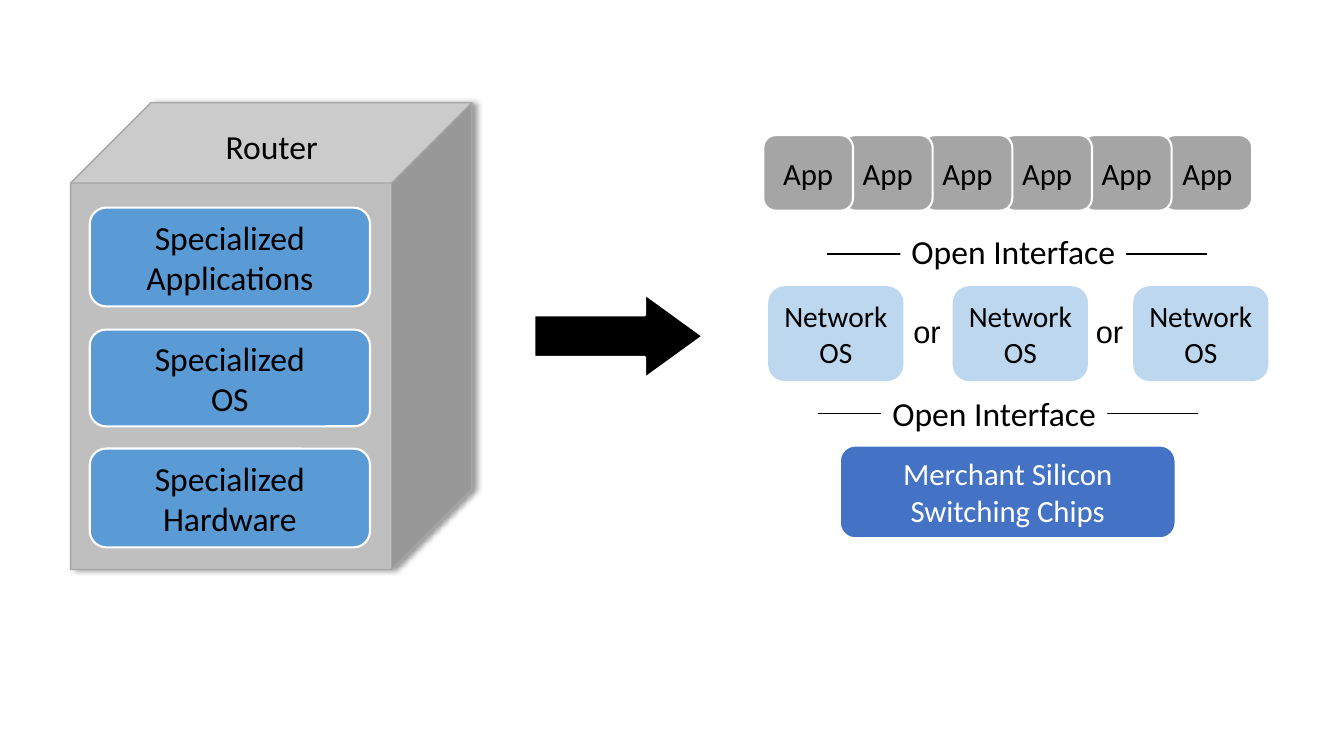
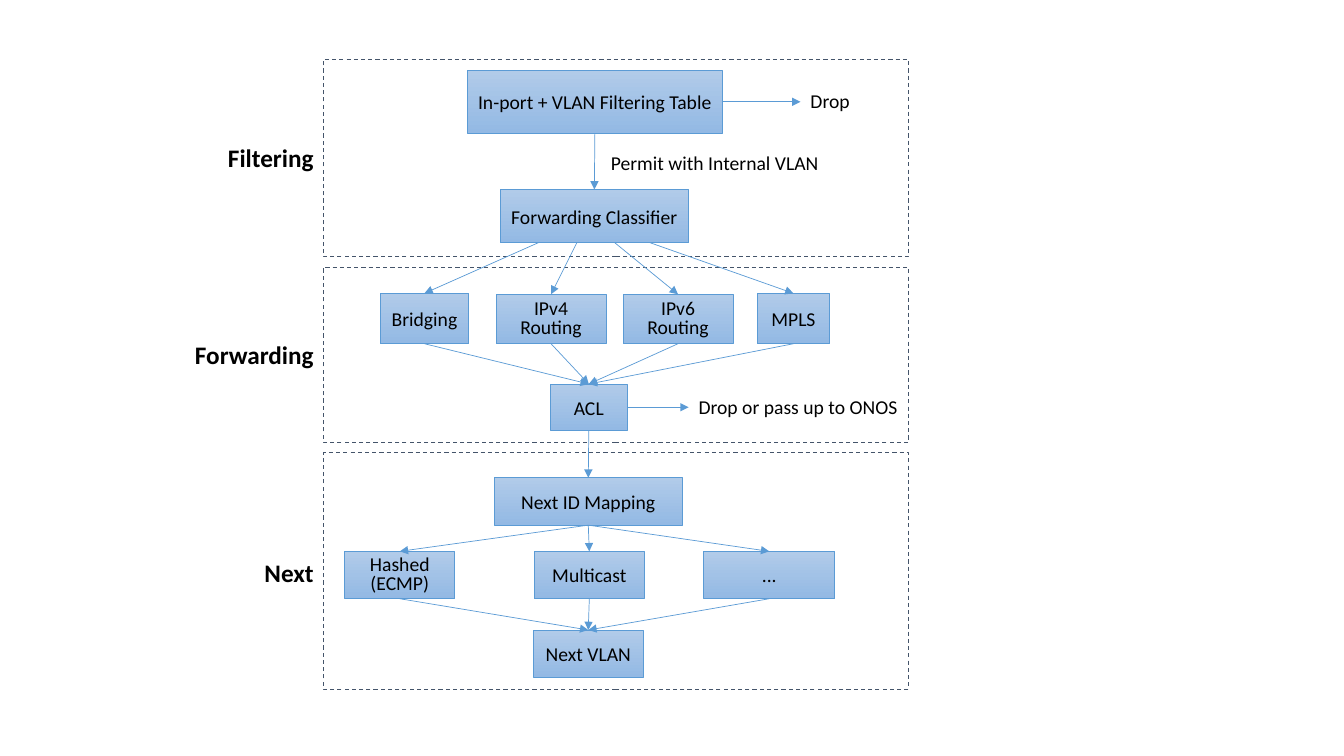
"""Build two network diagrams: router disaggregation and a forwarding pipeline."""
from typing import NamedTuple

from lxml import etree
from pptx import Presentation
from pptx.dml.color import RGBColor
from pptx.enum.dml import MSO_LINE
from pptx.enum.shapes import MSO_CONNECTOR, MSO_SHAPE
from pptx.enum.text import MSO_ANCHOR, MSO_AUTO_SIZE, PP_ALIGN
from pptx.oxml.ns import qn
from pptx.util import Emu, Pt

PX = 9144
STRAIGHT = MSO_CONNECTOR.STRAIGHT
DASH = MSO_LINE.DASH
RECT, ROUND = MSO_SHAPE.RECTANGLE, MSO_SHAPE.ROUNDED_RECTANGLE
CUBE, BLOCK_ARROW = MSO_SHAPE.CUBE, MSO_SHAPE.RIGHT_ARROW
LEFT, CENTER, RIGHT = PP_ALIGN.LEFT, PP_ALIGN.CENTER, PP_ALIGN.RIGHT
TOP, MIDDLE = MSO_ANCHOR.TOP, MSO_ANCHOR.MIDDLE
GROW, FIXED = MSO_AUTO_SIZE.SHAPE_TO_FIT_TEXT, MSO_AUTO_SIZE.NONE
TOP_SITE, BOTTOM_SITE, RIGHT_SITE = 0, 2, 3

COLORS = {
    "black": "000000", "white": "FFFFFF", "router": "BFBFBF", "router_edge": "A6A6A6",
    "blue": "5B9BD5", "app": "A5A5A5", "chip": "4472C4", "os": "BDD7EE",
    "frame": "44546A", "node_top": "B1CBE9", "node_bottom": "93B9E4",
}


class Box(NamedTuple):
    x: int
    y: int
    w: int
    h: int


class Stage(NamedTuple):
    name: str
    label: Box
    frame: Box


class Node(NamedTuple):
    text: str
    box: Box
    spacing: float = 1.0


class Label(NamedTuple):
    text: str
    box: Box
    wrap: bool = False


STAGES = [
    Stage("Filtering", Box(201, 138, 120, 37), Box(321, 59, 580, 196)),
    Stage("Forwarding", Box(174, 333, 147, 37), Box(321, 265, 580, 174)),
    Stage("Next", Box(201, 549, 120, 37), Box(321, 449, 580, 235)),
]
CLASSIFIER = Node("Forwarding Classifier", Box(496, 188, 187, 53))
NODES = [
    Node("In-port + VLAN Filtering Table", Box(464, 70, 252, 62)),
    Node("Bridging", Box(377, 291, 88, 50)),
    Node("IPv4 Routing", Box(492, 292, 109, 49), 0.8),
    Node("IPv6 Routing", Box(618, 292, 109, 49), 0.8),
    Node("MPLS", Box(751, 291, 72, 50)),
    Node("ACL", Box(546, 381, 76, 46)),
    Node("Next ID Mapping", Box(490, 474, 187, 47)),
    Node("Hashed (ECMP)", Box(342, 547, 109, 47), 0.8),
    Node("Multicast", Box(530, 547, 109, 47)),
    Node("...", Box(698, 547, 130, 47)),
    Node("Next VLAN", Box(529, 625, 109, 47)),
]
LABELS = [
    Label("Drop", Box(794, 83, 61, 38)),
    Label("Permit with Internal VLAN", Box(596, 145, 263, 38), True),
    Label("Drop or pass up to ONOS", Box(683, 387, 219, 34)),
]
PROTOCOLS = ["Bridging", "IPv4 Routing", "IPv6 Routing", "MPLS"]
GROUPS = ["Hashed (ECMP)", "Multicast", "..."]
EDGES = (
    [("In-port + VLAN Filtering Table", CLASSIFIER.text), ("ACL", "Next ID Mapping")]
    + [(name, "ACL") for name in PROTOCOLS]
    + [("Next ID Mapping", name) for name in GROUPS]
    + [(name, "Next VLAN") for name in GROUPS]
)


def px(n: int) -> Emu:
    return Emu(n * PX)


def rgb(name: str) -> RGBColor:
    return RGBColor.from_string(COLORS[name])


def write(sp, text: str, *, size: int, color: str = "black", font: str = "Calibri",
          bold: bool = False, align=CENTER, anchor=MIDDLE, inset: tuple[int, int] = (10, 5),
          spacing: float = 1.0, wrap: bool = True, grow: bool = False) -> None:
    tf = sp.text_frame
    tf.word_wrap = wrap
    tf.auto_size = GROW if grow else FIXED
    tf.vertical_anchor = anchor
    tf.margin_left = tf.margin_right = px(inset[0])
    tf.margin_top = tf.margin_bottom = px(inset[1])
    for i, line in enumerate(text.split("\n")):
        p = tf.paragraphs[0] if i == 0 else tf.add_paragraph()
        p.alignment = align
        p.line_spacing = spacing
        r = p.add_run()
        r.text = line
        r.font.name = font
        r.font.size = Pt(size)
        r.font.bold = bold
        r.font.color.rgb = rgb(color)


def add_box(s, kind, box: Box, fill: str | None = None, line: str | None = None,
            width: float = 1.5):
    sp = s.shapes.add_shape(kind, *map(px, box))
    sp.shadow.inherit = False
    if fill:
        sp.fill.solid()
        sp.fill.fore_color.rgb = rgb(fill)
    else:
        sp.fill.background()
    if line:
        sp.line.color.rgb = rgb(line)
        sp.line.width = Pt(width)
    else:
        sp.line.fill.background()
    return sp


def add_label(s, text: str, box: Box, **style) -> None:
    write(s.shapes.add_textbox(*map(px, box)), text, **style)


def add_line(s, start: tuple[int, int], end: tuple[int, int], color: str, width: float):
    c = s.shapes.add_connector(STRAIGHT, *map(px, start + end))
    c.line.color.rgb = rgb(color)
    c.line.width = Pt(width)
    etree.SubElement(c._element.spPr, qn("a:effectLst"))
    return c


def add_arrow(s, start: tuple[int, int] = (0, 0), end: tuple[int, int] = (0, 0)):
    c = add_line(s, start, end, "blue", 0.5)
    etree.SubElement(c._element.spPr.find(qn("a:ln")), qn("a:tailEnd"), type="triangle")
    return c


def cast_shadow(sp) -> None:
    effects = sp._element.spPr.find(qn("a:effectLst"))
    shadow = etree.SubElement(effects, qn("a:outerShdw"), blurRad=str(Pt(4)),
                              dist=str(Pt(3)), dir="0", algn="tl", rotWithShape="0")
    color = etree.SubElement(shadow, qn("a:srgbClr"), val=COLORS["black"])
    etree.SubElement(color, qn("a:alpha"), val="40000")


def add_node(s, node: Node):
    sp = add_box(s, RECT, node.box, "node_top", "blue", 0.5)
    sp.fill.gradient()
    sp.fill.gradient_angle = 270
    for stop, name in zip(sp.fill.gradient_stops, ("node_top", "node_bottom")):
        stop.color.rgb = rgb(name)
    write(sp, node.text, size=14, inset=(10, 10), spacing=node.spacing)
    return sp


def build_router(s) -> None:
    arrow = add_box(s, BLOCK_ARROW, Box(530, 292, 167, 83), "black", "white")
    arrow.adjustments[1] = 0.69
    cube = add_box(s, CUBE, Box(70, 102, 398, 463), "router", "router_edge", 1)
    cube.adjustments[0] = 0.2
    cast_shadow(cube)
    for part, y, h in (("Applications", 206, 98), ("OS", 327, 96), ("Hardware", 445, 98)):
        sp = add_box(s, ROUND, Box(89, y, 278, h), "blue", "white")
        write(sp, f"Specialized\n{part}", size=24, inset=(13, 7))
    add_label(s, "Router", Box(213, 120, 113, 50), size=24, anchor=TOP, wrap=False, grow=True)


def build_open_stack(s) -> None:
    for i in reversed(range(6)):
        sp = add_box(s, ROUND, Box(757 + i * 396 // 5, 134, 89, 75), "app", "white")
        write(sp, "App", size=22)
    for x, y, text_x, text_y in ((820, 252, 893, 224), (811, 410, 874, 385)):
        add_line(s, (x, y), (x + 377, y), "black", 1)
        sp = add_box(s, RECT, Box(text_x, text_y, 224, 50), "white")
        write(sp, "Open Interface", size=24, anchor=TOP, wrap=False, grow=True)
    chips = add_box(s, ROUND, Box(833, 442, 333, 92), "chip", "white")
    write(chips, "Merchant Silicon\nSwitching Chips", size=22, color="white")
    for x in (763, 946, 1125):
        write(add_box(s, ROUND, Box(x, 285, 132, 92), "os", "os"), "Network\nOS", size=21)
    for x in (896, 1077):
        add_label(s, "or", Box(x, 305, 48, 47), size=22, font="Arial", align=LEFT,
                  anchor=TOP, wrap=False, grow=True)


def build_pipeline(s) -> None:
    for stage in STAGES:
        add_label(s, stage.name, stage.label, size=18, bold=True, align=RIGHT, inset=(10, 10))
        add_box(s, RECT, stage.frame, None, "frame", 0.75).line.dash_style = DASH
    shapes = {node.text: add_node(s, node) for node in NODES}
    for name in PROTOCOLS:
        add_arrow(s, (583, 219)).end_connect(shapes[name], TOP_SITE)
    shapes[CLASSIFIER.text] = add_node(s, CLASSIFIER)
    for source, target in EDGES:
        c = add_arrow(s)
        c.begin_connect(shapes[source], BOTTOM_SITE)
        c.end_connect(shapes[target], TOP_SITE)
    for source, end in ((NODES[0].text, (794, 101)), ("ACL", (683, 404))):
        add_arrow(s, end=end).begin_connect(shapes[source], RIGHT_SITE)
    for label in LABELS:
        add_label(s, label.text, label.box, size=14, align=LEFT, anchor=TOP,
                  wrap=label.wrap, grow=True)


def main() -> None:
    prs = Presentation()
    prs.slide_width, prs.slide_height = px(1333), px(750)
    blank = prs.slide_layouts[6]
    s = prs.slides.add_slide(blank)
    build_router(s)
    build_open_stack(s)
    build_pipeline(prs.slides.add_slide(blank))
    prs.save("out.pptx")


if __name__ == "__main__":
    main()
